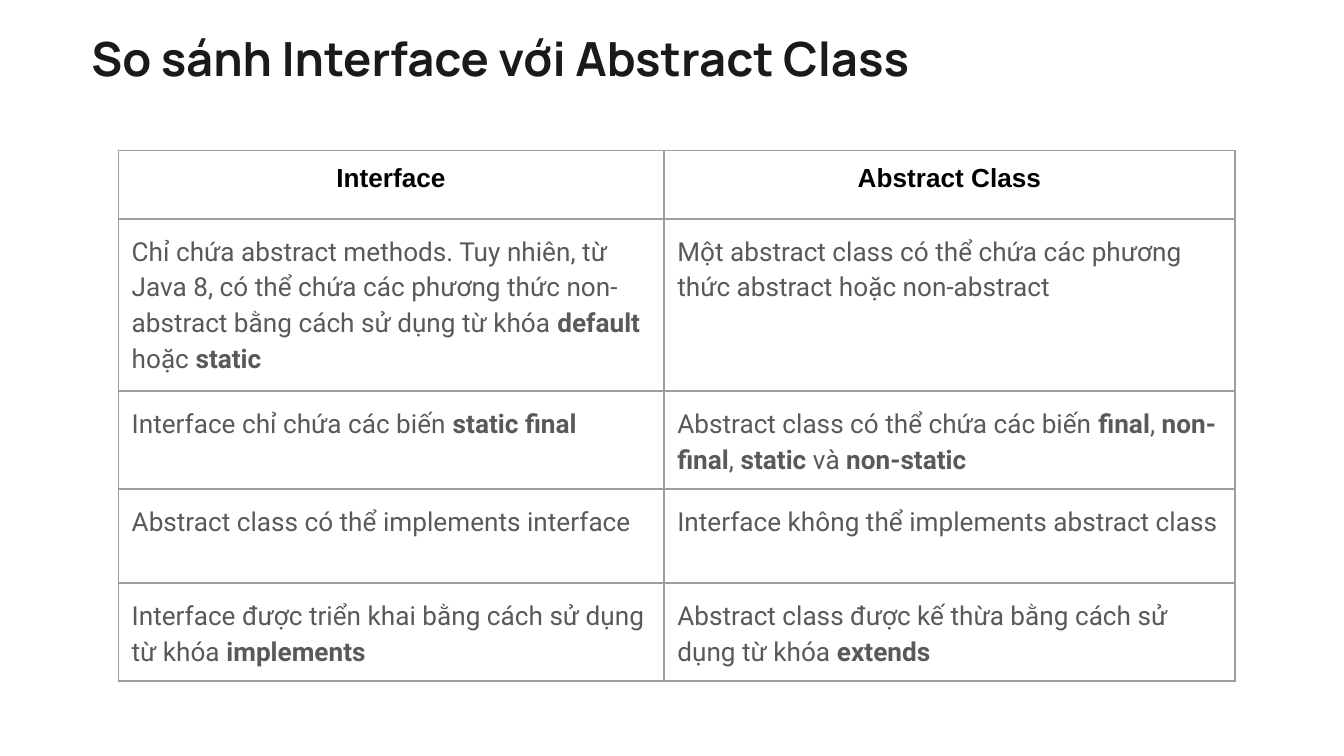
import pptx
import pptx.dml.color
import pptx.enum.text
import pptx.oxml
import pptx.oxml.ns
import pptx.util
from pptx.util import Inches

RGBColor = pptx.dml.color.RGBColor
BLACK = RGBColor(0x00, 0x00, 0x00)
TITLE_INK = RGBColor(0x1A, 0x1A, 0x1A)
BODY_INK = RGBColor(0x59, 0x59, 0x59)
BORDER = RGBColor(0x9E, 0x9E, 0x9E)

# Content: text between asterisks is bold
TITLE = "So sánh Interface với Abstract Class"
HEADERS = ("*Interface*", "*Abstract Class*")
COMPARISON = [
    ("Chỉ chứa abstract methods. Tuy nhiên, từ Java 8, có thể chứa các phương "
     "thức non-abstract bằng cách sử dụng từ khóa *default* hoặc *static*",
     "Một abstract class có thể chứa các phương thức abstract hoặc non-abstract"),
    ("Interface chỉ chứa các biến *static final*",
     "Abstract class có thể chứa các biến *final*, *non-final*, *static* và "
     "*non-static*"),
    ("Abstract class có thể implements interface",
     "Interface không thể implements abstract class"),
    ("Interface được triển khai bằng cách sử dụng từ khóa *implements*",
     "Abstract class được kế thừa bằng cách sử dụng từ khóa *extends*"),
]
SLIDE_WIDTH = 10
COLUMN_WIDTHS = (4.06, 4.25)
ROW_HEIGHTS = (0.51, 1.28, 0.7, 0.7, 0.7)
MARGIN = Inches(0.1)


def add_span(para, text, font, size, color, bold):
    span = para.add_run()
    span.text = text
    span.font.name = font
    span.font.size = pptx.util.Pt(size)
    span.font.color.rgb = color
    span.font.bold = bold


def add_marked_text(para, text, font, color):
    for index, part in enumerate(text.split("*")):
        if part:
            add_span(para, part, font, 14, color, index % 2 == 1)


def set_margins(holder):
    holder.margin_left = holder.margin_right = MARGIN
    holder.margin_top = holder.margin_bottom = MARGIN


def set_borders(cell):
    properties = cell._tc.get_or_add_tcPr()
    for position, side in enumerate(("lnL", "lnR", "lnT", "lnB")):
        line = pptx.oxml.parse_xml(
            f'<a:{side} {pptx.oxml.ns.nsdecls("a")} w="9525"><a:solidFill>'
            f'<a:srgbClr val="{BORDER}"/></a:solidFill></a:{side}>')
        properties.insert(position, line)


# Widescreen page, 16:9
deck = pptx.Presentation()
deck.slide_width = Inches(SLIDE_WIDTH)
deck.slide_height = Inches(SLIDE_WIDTH * 9 / 16)
page = deck.slides.add_slide(deck.slide_layouts[5])

# Title
title = page.shapes.title
title.left, title.top = Inches(0.58), Inches(0.12)
title.width, title.height = Inches(8.41), Inches(0.59)
frame = title.text_frame
set_margins(frame)
frame.word_wrap = True
frame.auto_size = pptx.enum.text.MSO_AUTO_SIZE.NONE
frame.vertical_anchor = pptx.enum.text.MSO_ANCHOR.TOP
heading = frame.paragraphs[0]
heading.alignment = pptx.enum.text.PP_ALIGN.LEFT
add_span(heading, TITLE, "Manrope", 25.2, TITLE_INK, True)

# Comparison table
rows = [HEADERS] + COMPARISON
table = page.shapes.add_table(
    len(rows), len(HEADERS), Inches(0.88), Inches(1.12),
    Inches(sum(COLUMN_WIDTHS)), Inches(sum(ROW_HEIGHTS))).table
table.horz_banding = False
for column, width in zip(table.columns, COLUMN_WIDTHS):
    column.width = Inches(width)
for row, height in zip(table.rows, ROW_HEIGHTS):
    row.height = Inches(height)

for row_index, texts in enumerate(rows):
    for column_index, text in enumerate(texts):
        cell = table.cell(row_index, column_index)
        cell.fill.background()
        set_margins(cell)
        set_borders(cell)
        para = cell.text_frame.paragraphs[0]
        if row_index == 0:
            para.alignment = pptx.enum.text.PP_ALIGN.CENTER
            add_marked_text(para, text, "Arial", BLACK)
        else:
            para.line_spacing = 1.15
            para.space_after = pptx.util.Pt(12)
            add_marked_text(para, text, "Roboto", BODY_INK)

deck.save("out.pptx")
